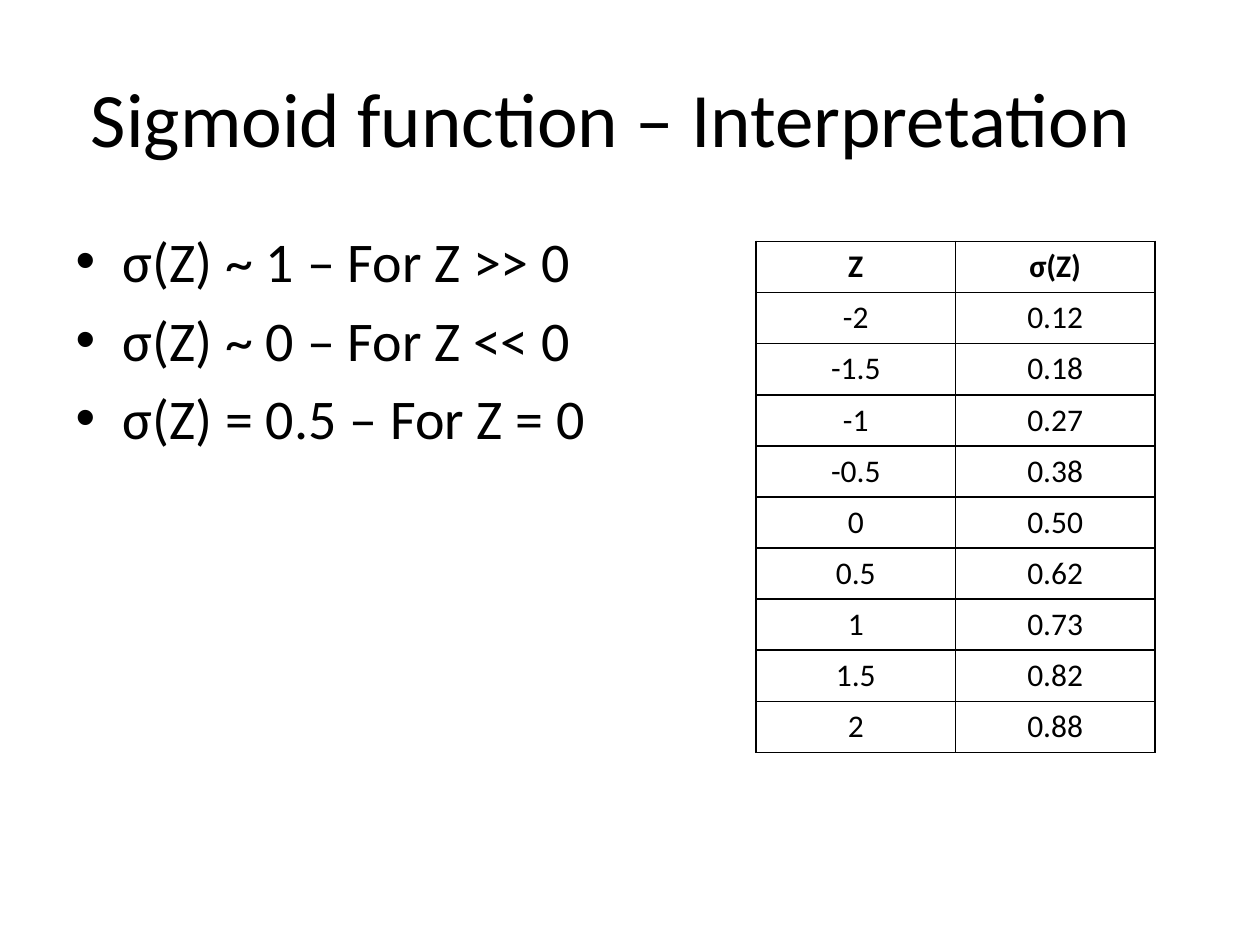
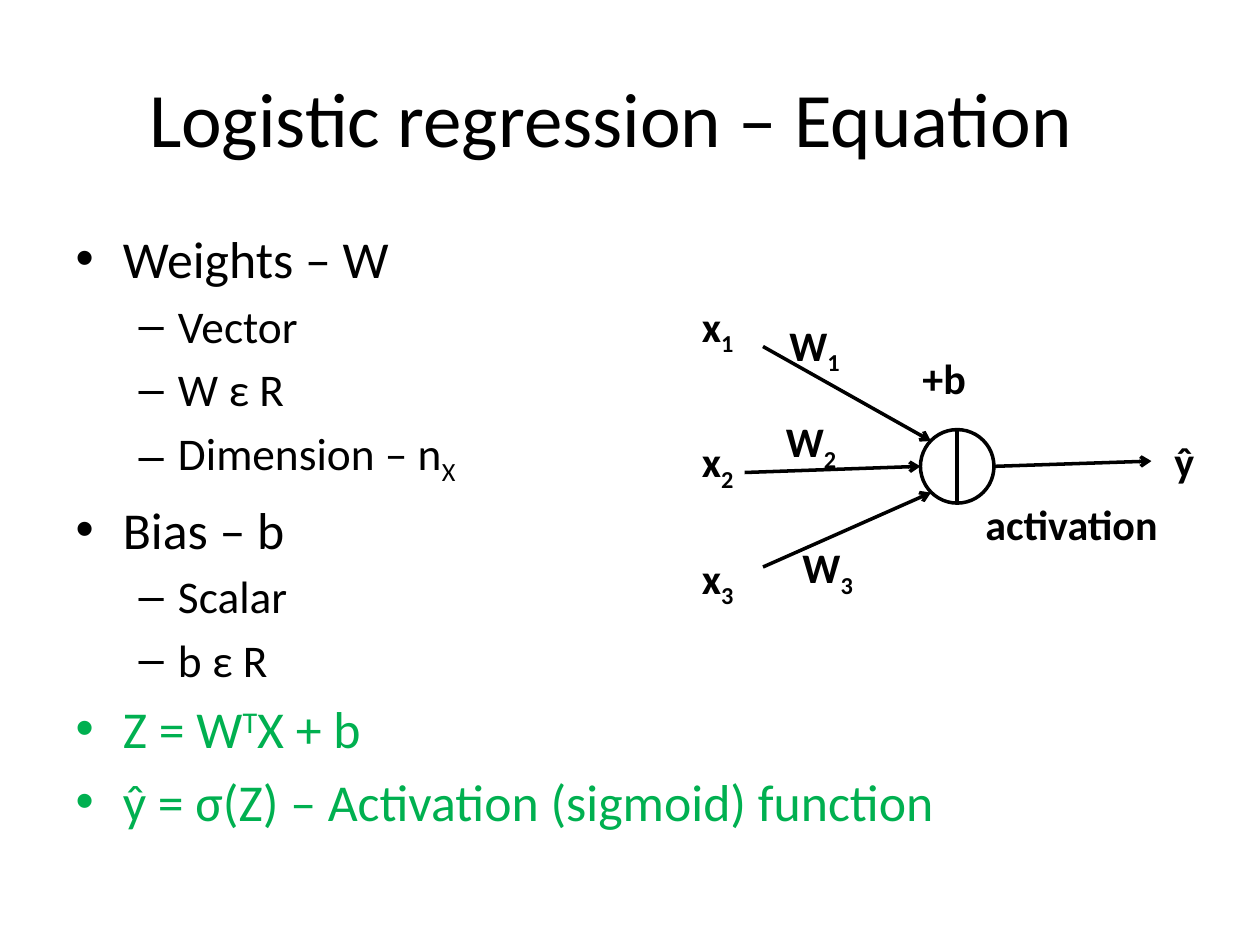
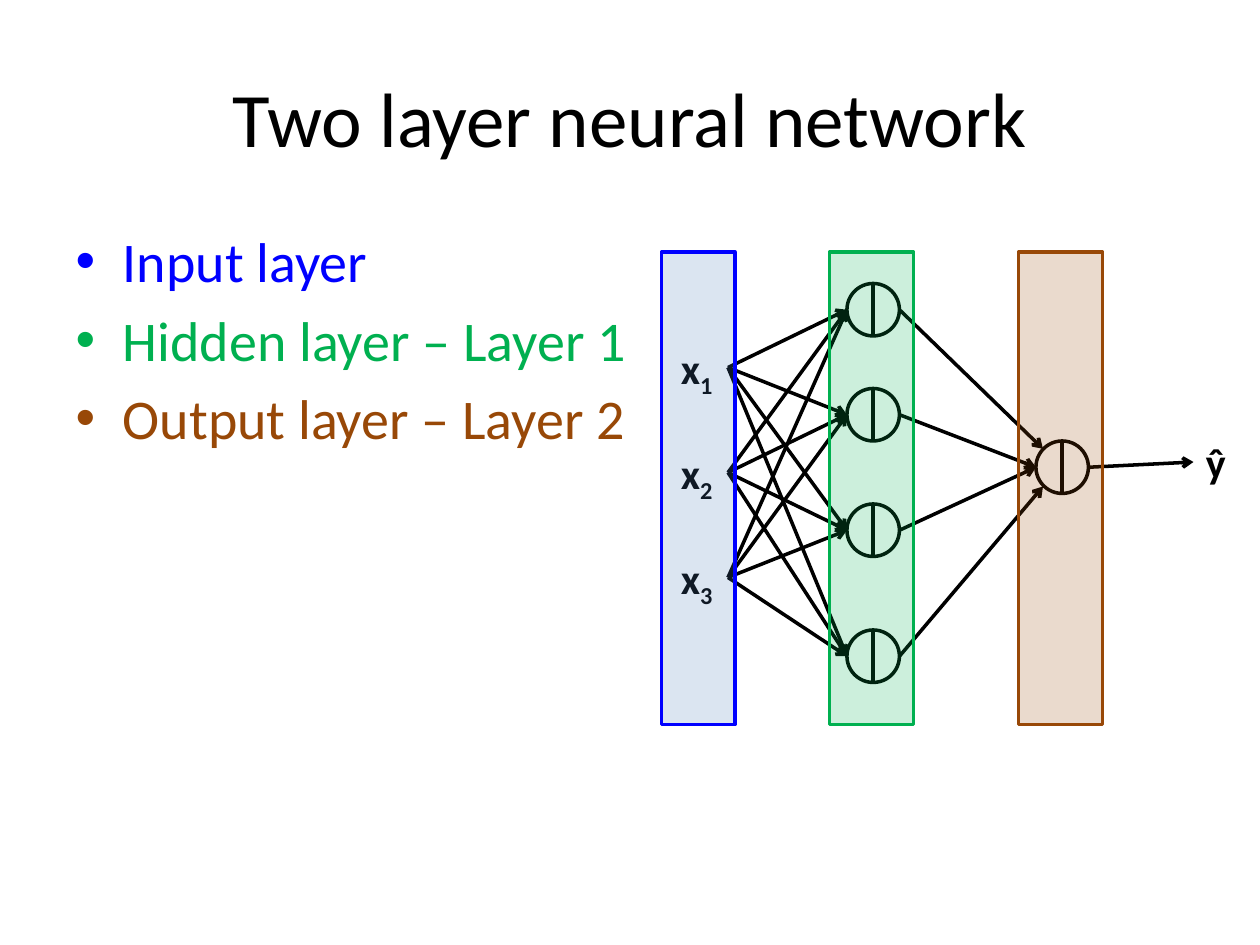
"""Build three slides on the sigmoid function, logistic regression and a two layer network."""
import dataclasses
import itertools
import math

import lxml.etree
import pptx
import pptx.dml.color
import pptx.enum.shapes
import pptx.enum.text
import pptx.oxml.ns
import pptx.util

Pt = pptx.util.Pt
qn = pptx.oxml.ns.qn


@dataclasses.dataclass(frozen=True)
class Theme:
    font: str = "Calibri"
    ink: str = "000000"
    input_edge: str = "0000FF"
    input_fill: str = "4F81BD"
    hidden: str = "00B050"
    output: str = "984807"
    band_opacity: int = 20
    title_size: float = 44
    list_sizes: tuple = (32, 28)
    compact_list_sizes: tuple = (29.6, 25.9)
    label_size: float = 24
    table_size: float = 18
    stroke: float = 2
    border: float = 1


class Deck:
    BASELINES = {"_": "-25000", "^": "30000"}

    def __init__(self, theme):
        self.theme = theme
        self.presentation = pptx.Presentation()
        self.presentation.slide_width = Pt(720)
        self.presentation.slide_height = Pt(540)
        self.slide = None

    def color(self, value):
        return pptx.dml.color.RGBColor.from_string(value)

    def place(self, shape, left, top, width, height):
        shape.left, shape.top = Pt(left), Pt(top)
        shape.width, shape.height = Pt(width), Pt(height)

    def add_runs(self, paragraph, pieces, size, color=None, bold=False):
        """Add pieces as runs; a leading _ lowers a piece and ^ raises it."""
        for piece in pieces:
            run = paragraph.add_run()
            baseline = self.BASELINES.get(piece[0])
            run.text = piece[1:] if baseline else piece
            run.font.name = self.theme.font
            run.font.size = Pt(size)
            run.font.bold = bold
            run.font.color.rgb = self.color(color or self.theme.ink)
            if baseline:
                run._r.get_or_add_rPr().set("baseline", baseline)

    def start(self, title, right_inset=7.2):
        self.slide = self.presentation.slides.add_slide(self.presentation.slide_layouts[1])
        heading = self.slide.shapes.title
        self.place(heading, 36, 21.6, 648, 90)
        frame = heading.text_frame
        frame.margin_right = Pt(right_inset)
        frame.vertical_anchor = pptx.enum.text.MSO_ANCHOR.MIDDLE
        frame.paragraphs[0].alignment = pptx.enum.text.PP_ALIGN.CENTER
        self.add_runs(frame.paragraphs[0], [title], self.theme.title_size)

    def bullets(self, items, width, sizes):
        body = self.slide.placeholders[1]
        self.place(body, 36, 126, width, 356.4)
        frame = body.text_frame
        frame.auto_size = pptx.enum.text.MSO_AUTO_SIZE.NONE
        for index, (level, color, *pieces) in enumerate(items):
            paragraph = frame.add_paragraph() if index else frame.paragraphs[0]
            paragraph.level = level
            self.add_runs(paragraph, pieces, sizes[level], color)

    def label(self, left, top, width, *pieces):
        box = self.slide.shapes.add_textbox(Pt(left), Pt(top), Pt(width), Pt(36))
        box.text_frame.word_wrap = False
        box.text_frame.auto_size = pptx.enum.text.MSO_AUTO_SIZE.SHAPE_TO_FIT_TEXT
        self.add_runs(box.text_frame.paragraphs[0], pieces, self.theme.label_size, bold=True)

    def line(self, start, end, arrow=True):
        link = self.slide.shapes.add_connector(
            pptx.enum.shapes.MSO_CONNECTOR.STRAIGHT, *map(Pt, start + end))
        link.line.color.rgb = self.color(self.theme.ink)
        link.line.width = Pt(self.theme.stroke)
        properties = link._element.spPr
        if arrow:
            lxml.etree.SubElement(properties.find(qn("a:ln")), qn("a:tailEnd"), type="arrow")
        lxml.etree.SubElement(properties, qn("a:effectLst"))

    def outline(self, kind, left, top, width, height, color):
        shape = self.slide.shapes.add_shape(kind, Pt(left), Pt(top), Pt(width), Pt(height))
        shape.shadow.inherit = False
        shape.fill.background()
        shape.line.color.rgb = self.color(color)
        shape.line.width = Pt(self.theme.stroke)
        return shape

    def neuron(self, left, top, size):
        self.outline(pptx.enum.shapes.MSO_SHAPE.OVAL, left, top, size, size, self.theme.ink)
        middle = left + size / 2
        self.line((middle, top), (middle, top + size), arrow=False)

    def band(self, left, width, edge, fill):
        band = self.outline(pptx.enum.shapes.MSO_SHAPE.RECTANGLE, left, 144, width, 270, edge)
        band.fill.solid()
        band.fill.fore_color.rgb = self.color(fill)
        tint = band._element.spPr.find(qn("a:solidFill")).find(qn("a:srgbClr"))
        lxml.etree.SubElement(tint, qn("a:alpha"), val=str(self.theme.band_opacity * 1000))

    def table(self, rows, left, top, width, row_height):
        frame = self.slide.shapes.add_table(
            len(rows), len(rows[0]), Pt(left), Pt(top), Pt(width), Pt(row_height * len(rows)))
        grid = frame.table
        grid.first_row = grid.horz_banding = False
        for row_index, row in enumerate(rows):
            for column_index, value in enumerate(row):
                cell = grid.cell(row_index, column_index)
                self.border(cell)
                cell.fill.background()
                paragraph = cell.text_frame.paragraphs[0]
                paragraph.alignment = pptx.enum.text.PP_ALIGN.CENTER
                self.add_runs(paragraph, [value], self.theme.table_size, bold=row_index == 0)

    def border(self, cell):
        properties = cell._tc.get_or_add_tcPr()
        for side in ("a:lnL", "a:lnR", "a:lnT", "a:lnB"):
            edge = lxml.etree.SubElement(properties, qn(side), w=str(Pt(self.theme.border)))
            fill = lxml.etree.SubElement(edge, qn("a:solidFill"))
            lxml.etree.SubElement(fill, qn("a:srgbClr"), val=self.theme.ink)


def sigmoid_slide(deck):
    deck.start("Sigmoid function – Interpretation", right_inset=28.8)
    deck.bullets([
        (0, None, "σ(Z) ~ 1 – For Z >> 0"),
        (0, None, "σ(Z) ~ 0 – For Z << 0"),
        (0, None, "σ(Z) = 0.5 – For Z = 0"),
    ], 648, deck.theme.list_sizes)
    inputs = [step / 2 for step in range(-4, 5)]
    values = [(f"{z:g}", f"{1 / (1 + math.exp(-z)):.2f}") for z in inputs]
    deck.table([("Z", "σ(Z)")] + values, 432, 138, 228, 28.8)


def regression_slide(deck):
    deck.start("Logistic regression – Equation", right_inset=28.8)
    deck.bullets([
        (0, None, "Weights – W"),
        (1, None, "Vector"),
        (1, None, "W ε R"),
        (1, None, "Dimension – n", "_X"),
        (0, None, "Bias – b"),
        (1, None, "Scalar"),
        (1, None, "b ε R"),
        (0, deck.theme.hidden, "Z = W", "^T", "X + b"),
        (0, deck.theme.hidden, "ŷ = σ(Z) – Activation (sigmoid) function"),
    ], 636, deck.theme.compact_list_sizes)
    for number, top in enumerate((168, 245.5, 312), 1):
        deck.label(394, top, 34, "x", f"_{number}")
    deck.neuron(526, 245.5, 42)
    deck.label(664, 245.5, 26, "ŷ")
    deck.line((568, 266.5), (658, 263.5))
    deck.line((425.5, 270), (526, 266.5))
    deck.line((436, 198), (532, 252))
    deck.line((436, 324), (532, 281.5))
    for number, (left, top) in enumerate(((444, 179), (442, 234), (451.5, 306)), 1):
        deck.label(left, top, 45, "W", f"_{number}")
    deck.label(520, 198, 40, "+b")
    deck.label(556, 281.5, 115, "activation")


def network_slide(deck):
    theme = deck.theme
    deck.start("Two layer neural network")
    deck.bullets([
        (0, theme.input_edge, "Input layer"),
        (0, theme.hidden, "Hidden layer – Layer 1"),
        (0, theme.output, "Output layer – Layer 2"),
    ], 660, theme.list_sizes)
    size = 30
    hidden_left, output_left, output_top = 484, 592, 252
    input_tops = [192 + 60 * row for row in range(3)]
    hidden_tops = (162, 222, 288, 360)
    output_middle = output_top + size / 2
    for number, top in enumerate(input_tops, 1):
        deck.label(382, top, 34, "x", f"_{number}")
    deck.label(682, 246, 26, "ŷ")
    for top in hidden_tops:
        deck.neuron(hidden_left, top, size)
    deck.neuron(output_left, output_top, size)
    for input_top, hidden_top in itertools.product(input_tops, hidden_tops):
        deck.line((416, input_top + 18), (hidden_left, hidden_top + size / 2))
    entries = ((596, 256.5), (592, output_middle), (592, output_middle), (596, 278))
    for hidden_top, entry in zip(hidden_tops, entries):
        deck.line((hidden_left + size, hidden_top + size / 2), entry)
    deck.line((output_left + size, output_middle), (682, 264))
    deck.band(378, 42, theme.input_edge, theme.input_fill)
    deck.band(474, 48, theme.hidden, theme.hidden)
    deck.band(582, 48, theme.output, theme.output)


def main():
    deck = Deck(Theme())
    sigmoid_slide(deck)
    regression_slide(deck)
    network_slide(deck)
    deck.presentation.save("out.pptx")


if __name__ == "__main__":
    main()
